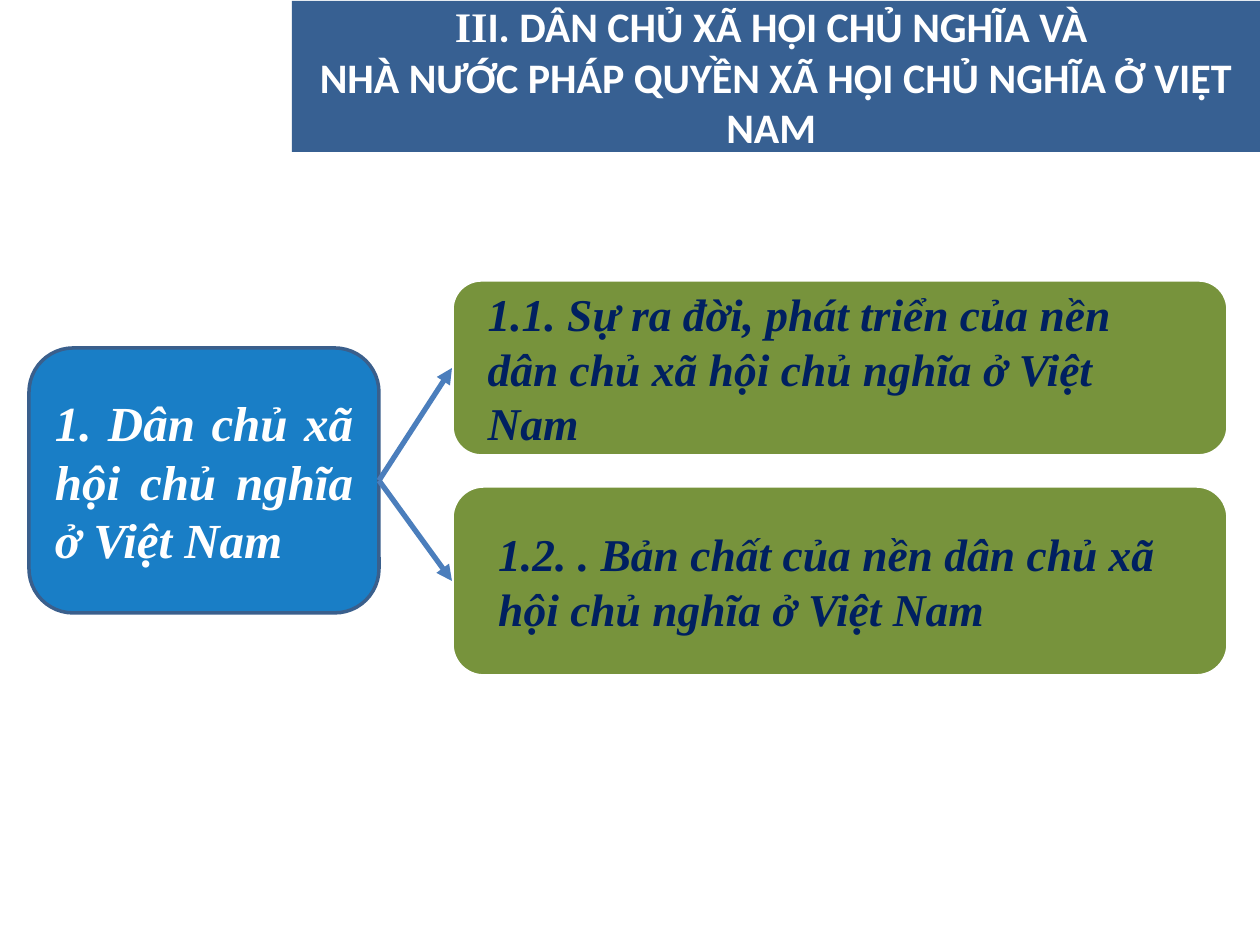
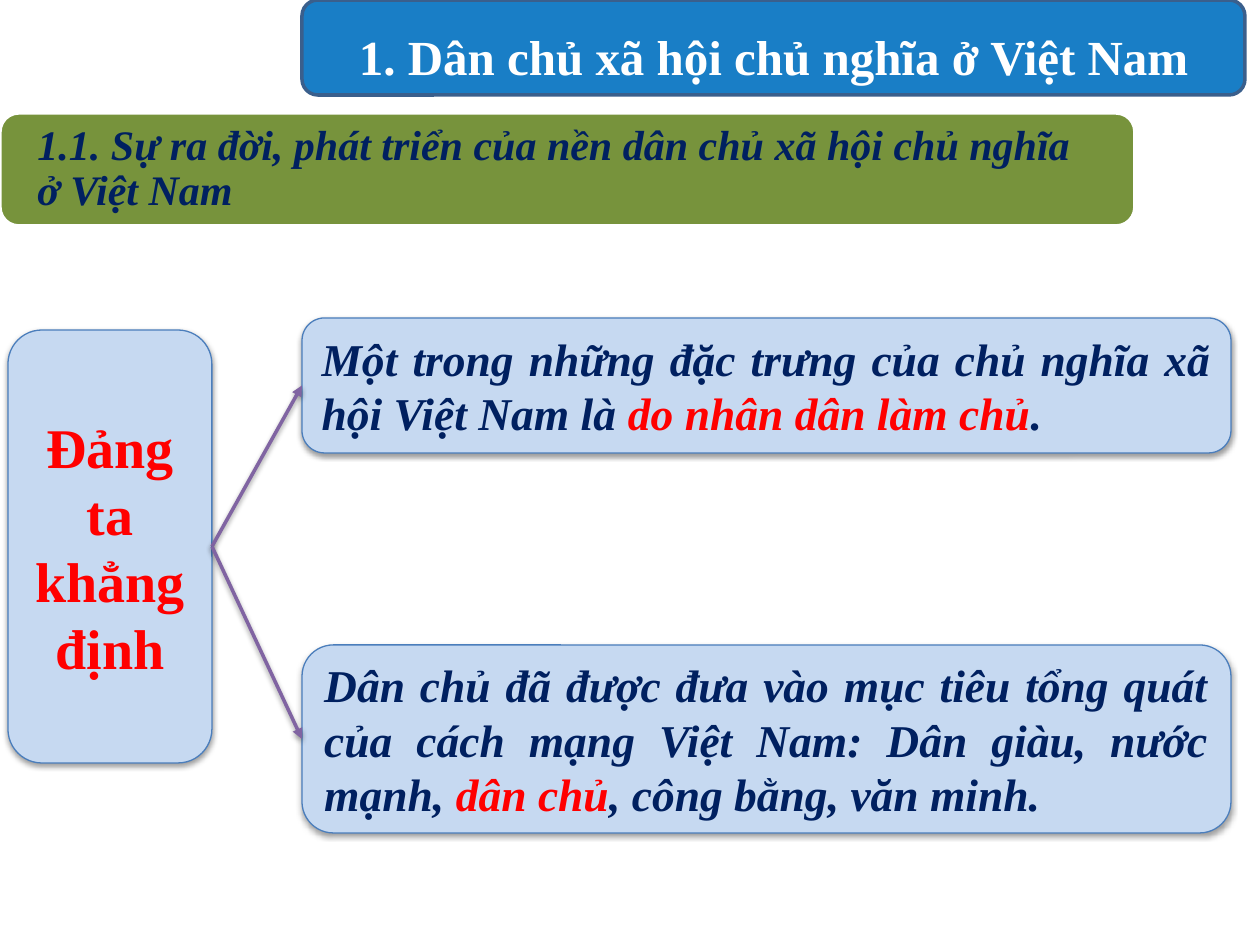
"""Builds two slides on socialist democracy in Viet Nam."""
from lxml.etree import SubElement
from pptx import Presentation
from pptx.dml.color import RGBColor
from pptx.enum.shapes import MSO_CONNECTOR as CONN, MSO_SHAPE as SHAPE
from pptx.enum.text import MSO_ANCHOR as ANCHOR, MSO_AUTO_SIZE as FIT, PP_ALIGN as AL
from pptx.oxml.ns import qn
from pptx.util import Inches, Pt

SERIF, SANS = "Times New Roman", "Calibri"
COLORS = {
    "white": "FFFFFF", "navy": "002060", "red": "FF0000", "band": "376092",
    "blue": "0070C0", "blue_edge": "3A5F8C", "green": "77933C",
    "pale": "C6D9F1", "pale_edge": "4B7EBC", "purple": "8064A2",
}
STYLES = {
    "topic": dict(fill="blue", line="blue_edge", width=2, alpha=90),
    "section": dict(fill="green", line="white", width=2),
    "card": dict(fill="pale", line="pale_edge", width=0.75, shadow=True),
}
TOPIC = "1. Dân chủ xã hội chủ nghĩa ở Việt Nam"
BIRTH = "1.1. Sự ra đời, phát triển của nền dân chủ xã hội chủ nghĩa ở Việt Nam"
NATURE = "1.2. . Bản chất của nền dân chủ xã hội chủ nghĩa ở Việt Nam"
DEFAULT_INSETS = (13, 6, 13, 6)

SLIDES = [
    dict(
        title=dict(
            at=(292, 1, 968, 151), fill="band", size=24, insets=DEFAULT_INSETS,
            runs=[("II", SERIF),
                  ("I. DÂN CHỦ XÃ HỘI CHỦ NGHĨA VÀ \vNHÀ NƯỚC PHÁP QUYỀN "
                   "XÃ HỘI CHỦ NGHĨA Ở VIỆT NAM ", SANS)]),
        boxes=[
            dict(at=(29, 348, 350, 265), style="topic", size=28, align=AL.JUSTIFY,
                 runs=[(TOPIC, "white")]),
            dict(at=(452, 280, 776, 176), style="section", size=26,
                 insets=(27, 0, 27, 0), runs=[(BIRTH, "navy")]),
            dict(at=(452, 486, 776, 190), style="section", size=26,
                 insets=(37, 0, 15, 0), runs=[(NATURE, "navy")]),
        ],
        arrows=dict(root=0, ends=(1, 2), color="pale_edge", width=3, shadow=False)),
    dict(
        title=dict(
            at=(302, 0, 943, 95), style="topic", size=28, insets=(13, 22, 13, 6),
            runs=[(TOPIC, SERIF)]),
        boxes=[
            dict(at=(0, 113, 1135, 113), style="section", size=24, spacing=0.9,
                 insets=(32, 0, 32, 0), runs=[(BIRTH, "navy")]),
            dict(at=(8, 330, 204, 433), style="card", size=32, align=AL.CENTER,
                 italic=False, runs=[("Đảng ta khẳng định", "red")]),
            dict(at=(302, 318, 929, 135), style="card", size=26, align=AL.JUSTIFY,
                 runs=[("Một trong những đặc trưng của chủ nghĩa xã hội Việt Nam là ", "navy"),
                       ("do nhân dân làm chủ", "red"), (". ", "navy")]),
            dict(at=(302, 645, 929, 188), style="card", size=26, align=AL.JUSTIFY,
                 runs=[("Dân chủ đã được đưa vào mục tiêu tổng quát của cách mạng "
                        "Việt Nam: Dân giàu, nước mạnh, ", "navy"),
                       ("dân chủ", "red"), (", công bằng, văn minh. ", "navy")]),
        ],
        arrows=dict(root=1, ends=(2, 3), color="purple", width=2, shadow=True)),
]


def px(n):
    return Inches(n / 126)


def rgb(name):
    return RGBColor.from_string(COLORS[name])


def set_effects(shape, shadow):
    effects = SubElement(shape._element.spPr, qn("a:effectLst"))
    if shadow:
        outer = SubElement(effects, qn("a:outerShdw"), blurRad="40000", dist="20000",
                           dir="5400000", rotWithShape="0")
        black = SubElement(outer, qn("a:srgbClr"), val="000000")
        SubElement(black, qn("a:alpha"), val="38000")


def add_panel(s, at, fill, line, width, alpha=100, shadow=False):
    sp = s.shapes.add_shape(SHAPE.ROUNDED_RECTANGLE, *map(px, at))
    sp.fill.solid()
    sp.fill.fore_color.rgb = rgb(fill)
    if alpha < 100:
        color = sp._element.spPr.find(qn("a:solidFill"))[0]
        SubElement(color, qn("a:alpha"), val=str(alpha * 1000))
    sp.line.color.rgb = rgb(line)
    sp.line.width = Pt(width)
    set_effects(sp, shadow)
    return sp


def write(sp, runs, size, align, insets, italic, spacing=None):
    tf = sp.text_frame
    tf.word_wrap = True
    tf.auto_size = FIT.NONE
    tf.vertical_anchor = ANCHOR.MIDDLE
    tf.margin_left, tf.margin_top, tf.margin_right, tf.margin_bottom = map(px, insets)
    p = tf.paragraphs[0]
    p.alignment = align
    p.line_spacing = spacing
    for text, font, color in runs:
        for i, part in enumerate(text.split("\v")):
            if i:
                p.add_line_break()
            r = p.add_run()
            r.text = part
            r.font.name, r.font.size = font, Pt(size)
            r.font.bold, r.font.italic = True, italic
            r.font.color.rgb = rgb(color)


def add_title(s, at, size, insets, runs, fill=None, style=None):
    sp = s.shapes.title
    sp.left, sp.top, sp.width, sp.height = map(px, at)
    if fill:
        sp.fill.solid()
        sp.fill.fore_color.rgb = rgb(fill)
    if style:
        panel = add_panel(s, at, **STYLES[style])
        panel._element.addnext(sp._element)
    write(sp, [(text, font, "white") for text, font in runs], size, AL.CENTER, insets, False)


def add_box(s, at, style, size, runs, align=AL.LEFT, insets=DEFAULT_INSETS,
            italic=True, spacing=None):
    sp = add_panel(s, at, **STYLES[style])
    write(sp, [(text, SERIF, color) for text, color in runs], size, align, insets,
          italic, spacing)
    return sp


def add_arrow(s, start, end, color, width, shadow):
    arrow = s.shapes.add_connector(CONN.STRAIGHT, 0, 0, 0, 0)
    arrow.begin_connect(start, 3)
    arrow.end_connect(end, 1)
    arrow.line.color.rgb = rgb(color)
    arrow.line.width = Pt(width)
    SubElement(arrow._element.spPr.find(qn("a:ln")), qn("a:tailEnd"), type="triangle")
    set_effects(arrow, shadow)


def main():
    prs = Presentation()
    prs.slide_width, prs.slide_height = Inches(10), Inches(7.5)
    for page in SLIDES:
        s = prs.slides.add_slide(prs.slide_layouts[5])
        add_title(s, **page["title"])
        boxes = [add_box(s, **box) for box in page["boxes"]]
        arrows = page["arrows"]
        for end in arrows["ends"]:
            add_arrow(s, boxes[arrows["root"]], boxes[end],
                      arrows["color"], arrows["width"], arrows["shadow"])
    prs.save("out.pptx")


if __name__ == "__main__":
    main()
